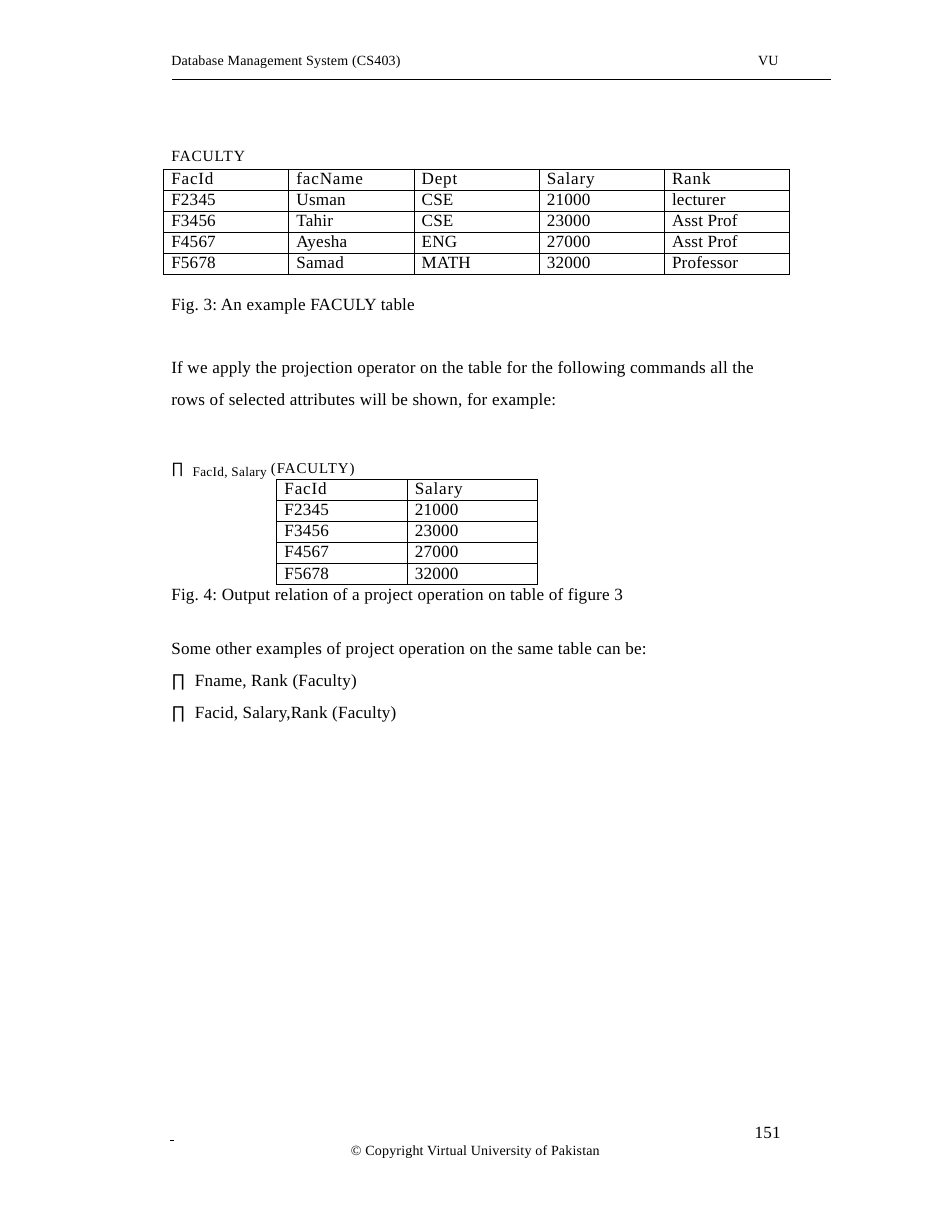
from lxml.etree import SubElement as Sub
from pptx import Presentation
from pptx.dml.color import RGBColor
from pptx.enum.shapes import MSO_CONNECTOR as Conn
from pptx.enum.text import MSO_ANCHOR as Anchor, PP_ALIGN as Align
from pptx.oxml.ns import qn
from pptx.util import Inches, Pt

BLACK = RGBColor(0, 0, 0)
SERIF, SANS = "Times New Roman", "Arial"


def style(run, size=11, face=SERIF, track=0.1, base=0):
    font = run.font
    font.size, font.name = Pt(size), face
    font.color.rgb = BLACK
    props = run._r.get_or_add_rPr()
    props.set("spc", str(round(track * 100)))
    if base:
        props.set("baseline", str(base * 1000))


def write(para, text, **look):
    run = para.add_run()
    run.text = text
    style(run, **look)
    return run


def set_tab(para, pos):
    tabs = Sub(para._p.get_or_add_pPr(), qn("a:tabLst"))
    Sub(tabs, qn("a:tab"), pos=str(Inches(pos)), algn="l")


def set_frame(frame, left=0.01):
    frame.word_wrap = True
    frame.vertical_anchor = Anchor.TOP
    frame.margin_left = Inches(left)
    frame.margin_top = frame.margin_right = frame.margin_bottom = 0


def add_box(slide, box, left=0.01):
    frame = slide.shapes.add_textbox(*map(Inches, box)).text_frame
    set_frame(frame, left)
    return frame


def add_para(frame, before):
    para = frame.add_paragraph()
    para.space_before = Pt(before)
    return para


def add_head(slide, box):
    x, y, w, h = box
    # Course name and school
    for text, left, width in (("Database Management System (CS403)", x, 2.3),
                              ("VU", 6.76, 0.3)):
        frame = add_box(slide, (left, y, width, 0.16))
        write(frame.paragraphs[0], text, size=9)
    # Rule below
    rule = slide.shapes.add_connector(
        Conn.STRAIGHT, Inches(x + 0.02), Inches(y + h),
        Inches(x + w), Inches(y + h))
    rule.line.color.rgb, rule.line.width = BLACK, Pt(0.94)
    Sub(rule._element.spPr, qn("a:effectLst"))


def add_title(slide, box):
    title = slide.shapes.title
    title.left, title.top, title.width, title.height = map(Inches, box)
    frame = title.text_frame
    frame.text = "FACULTY"
    set_frame(frame)
    para = frame.paragraphs[0]
    para.alignment, para.line_spacing = Align.LEFT, 1.0
    style(para.runs[0], size=10, track=0.5)


def add_grid(slide, box, rows):
    shape = slide.shapes.add_table(len(rows), len(rows[0]), *map(Inches, box))
    table = shape.table
    table.first_row = table.horz_banding = False
    for r, row in enumerate(rows):
        for c, text in enumerate(row):
            cell = table.cell(r, c)
            cell.margin_left = Inches(0.07)
            cell.margin_top = cell.margin_right = cell.margin_bottom = 0
            para = cell.text_frame.paragraphs[0]
            para.line_spacing = Pt(12.4)
            write(para, text, track=0.1 if r else 0.5)
            # Thin border on each side
            props = cell._tc.get_or_add_tcPr()
            for side in ("lnL", "lnR", "lnT", "lnB"):
                line = Sub(props, qn("a:" + side), w=str(Pt(0.5)))
                fill = Sub(line, qn("a:solidFill"))
                Sub(fill, qn("a:srgbClr"), val=str(BLACK))
            cell.fill.background()


def add_intro(slide, box):
    frame = add_box(slide, box)
    write(frame.paragraphs[0], "Fig. 3: An example FACULY table")
    para = add_para(frame, 19.5)
    para.line_spacing = 1.57
    write(para, "If we apply the projection operator on the table for the "
                "following commands all the rows of selected attributes "
                "will be shown, for example:")
    # Projection with its attributes
    para = add_para(frame, 27)
    set_tab(para, 0.19)
    write(para, "∏\t", size=16.5, face=SANS, base=10)
    write(para, "FacId, Salary ", size=8.5, track=0.2)
    write(para, "(FACULTY)", size=16.5, track=0.6, base=10)


def add_more(slide, box):
    frame = add_box(slide, box)
    write(frame.paragraphs[0], "Fig. 4: Output relation of a project "
                               "operation on table of figure 3")
    write(add_para(frame, 21.4), "Some other examples of project operation "
                                 "on the same table can be:")
    for text in ("Fname, Rank (Faculty)", "Facid, Salary,Rank (Faculty)"):
        para = add_para(frame, 7.5)
        set_tab(para, 0.21)
        write(para, "∏\t", face=SANS)
        write(para, text)


def add_foot(slide, box):
    frame = add_box(slide, box, 0)
    # Underlined mark and page number
    para = frame.paragraphs[0]
    para.alignment, para.line_spacing = Align.CENTER, Pt(12.1)
    set_tab(para, 5.22)
    write(para, " ").font.underline = True
    write(para, "\t151")
    # Copyright line
    para = frame.add_paragraph()
    para.alignment, para.line_spacing = Align.CENTER, Pt(10.6)
    write(para, "© Copyright Virtual University of Pakistan", size=9)


def main():
    deck = Presentation()
    deck.slide_width, deck.slide_height = Inches(8.5), Inches(11)
    slide = deck.slides.add_slide(deck.slide_layouts[5])
    staff = [
        ("FacId", "facName", "Dept", "Salary", "Rank"),
        ("F2345", "Usman", "CSE", "21000", "lecturer"),
        ("F3456", "Tahir", "CSE", "23000", "Asst Prof"),
        ("F4567", "Ayesha", "ENG", "27000", "Asst Prof"),
        ("F5678", "Samad", "MATH", "32000", "Professor"),
    ]
    add_head(slide, (1.52, 0.46, 5.9, 0.25))
    add_title(slide, (1.52, 1.3, 0.9, 0.18))
    add_grid(slide, (1.46, 1.51, 5.59, 0.94), staff)
    add_intro(slide, (1.52, 2.62, 5.47, 1.6))
    add_grid(slide, (2.47, 4.28, 2.33, 0.94),
             [(row[0], row[3]) for row in staff])
    add_more(slide, (1.52, 5.21, 4.28, 1.22))
    add_foot(slide, (1.5, 10.03, 5.49, 0.33))
    deck.save("out.pptx")


if __name__ == "__main__":
    main()
